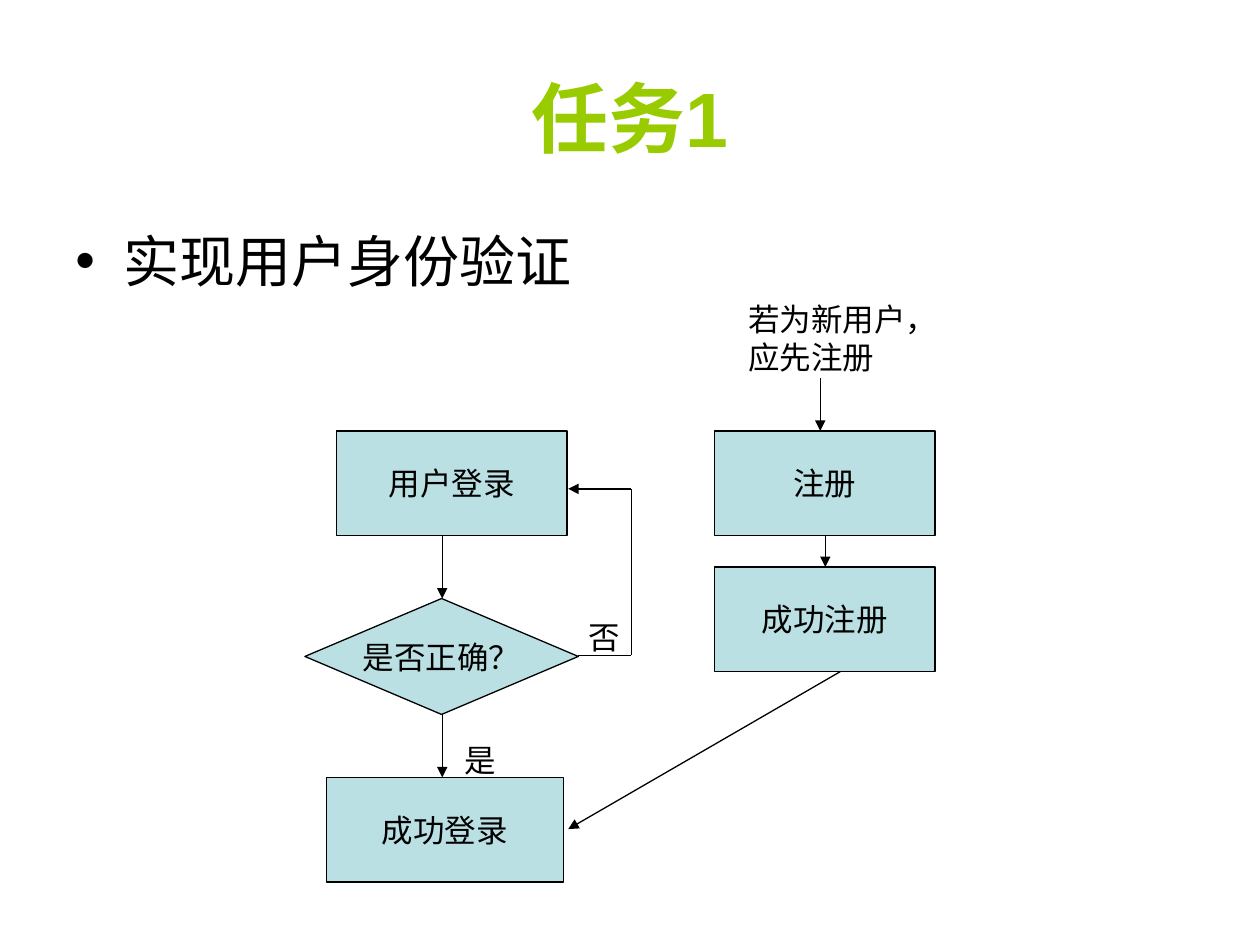
"""Build the user login and sign-up flow slide."""
import dataclasses
import typing

import pptx
import pptx.dml.color
import pptx.enum.shapes
import pptx.enum.text
import pptx.oxml.ns
import pptx.util
from lxml import etree

SCALE = 9144
KIND = pptx.enum.shapes.MSO_SHAPE
ALIGN = pptx.enum.text.PP_ALIGN
ANCHOR = pptx.enum.text.MSO_ANCHOR


@dataclasses.dataclass(frozen=True)
class Theme:
    font: str = "Arial"
    ink: str = "000000"
    fill: str = "BBE0E3"
    title: str = "99CC00"
    head: int = 44
    body: int = 32
    small: int = 18
    line: float = 0.75


class Box(typing.NamedTuple):
    text: str
    left: int
    top: int
    width: int
    height: int


class Label(typing.NamedTuple):
    box: Box
    size: int
    wrap: bool = True


class Node(typing.NamedTuple):
    box: Box
    kind: KIND = KIND.RECTANGLE


class Link(typing.NamedTuple):
    x1: int
    y1: int
    x2: int
    y2: int
    arrow: bool = True


THEME = Theme()
TITLE = Box("任务1", 50, 30, 900, 125)
POINT = Label(Box("实现用户身份验证", 50, 175, 900, 495), THEME.body)
LABELS = [
    Label(Box("否", 457, 486, 45, 40), THEME.small, False),
    Label(Box("是", 359, 583, 67, 40), THEME.small),
    Label(Box("若为新用户，应先注册", 584, 233, 175, 70), THEME.small),
]
NODES = [
    Node(Box("用户登录", 267, 342, 183, 83)),
    Node(Box("是否正确？", 242, 475, 217, 92), KIND.FLOWCHART_DECISION),
    Node(Box("成功登录", 259, 617, 188, 83)),
    Node(Box("注册", 567, 342, 175, 83)),
    Node(Box("成功注册", 567, 450, 175, 83)),
]
LINKS = [
    Link(351, 425, 351, 475),
    Link(351, 567, 351, 617),
    Link(459, 520, 501, 520, False),
    Link(501, 520, 501, 388, False),
    Link(501, 388, 451, 388),
    Link(651, 300, 651, 342),
    Link(655, 425, 655, 450),
    Link(667, 533, 451, 658),
]


def px(*sizes: int) -> list[int]:
    """Turn px lengths into EMU."""
    return [size * SCALE for size in sizes]


def rgb(code: str) -> pptx.dml.color.RGBColor:
    """Read a hex colour."""
    return pptx.dml.color.RGBColor.from_string(code)


def add(node, tag: str, **attrs: str):
    """Add a drawing element below a node."""
    return etree.SubElement(node, pptx.oxml.ns.qn(tag), attrs)


def write(shape, text: str, size: int, color: str = THEME.ink,
          align: ALIGN = ALIGN.LEFT, bold: bool = False) -> None:
    """Set and format the text of a shape."""
    frame = shape.text_frame
    frame.text = text
    for para in frame.paragraphs:
        para.alignment = align
        for run in para.runs:
            run.font.name = THEME.font
            run.font.size = pptx.util.Pt(size)
            run.font.bold = bold
            run.font.color.rgb = rgb(color)


def stroke(line) -> None:
    """Give a line the theme colour and width."""
    line.color.rgb = rgb(THEME.ink)
    line.width = pptx.util.Pt(THEME.line)


def draw_title(slide, box: Box) -> None:
    """Place and fill the title."""
    shape = slide.shapes.title
    shape.left, shape.top, shape.width, shape.height = px(*box[1:])
    shape.text_frame.auto_size = pptx.enum.text.MSO_AUTO_SIZE.NONE
    shape.text_frame.vertical_anchor = ANCHOR.MIDDLE
    write(shape, box.text, THEME.head, THEME.title, ALIGN.CENTER, True)


def draw_label(slide, label: Label):
    """Draw a plain text box."""
    shape = slide.shapes.add_textbox(*px(*label.box[1:]))
    shape.text_frame.word_wrap = label.wrap
    write(shape, label.box.text, label.size)
    return shape


def draw_point(slide, label: Label) -> None:
    """Draw a text box with a hanging bullet."""
    shape = draw_label(slide, label)
    for para in shape.text_frame.paragraphs:
        props = para._p.get_or_add_pPr()
        indent, = px(38)
        props.set("marL", str(indent))
        props.set("indent", str(-indent))
        add(props, "a:buFont", typeface=THEME.font)
        add(props, "a:buChar", char="•")


def draw_node(slide, node: Node) -> None:
    """Draw a filled step of the flow."""
    shape = slide.shapes.add_shape(node.kind, *px(*node.box[1:]))
    shape.shadow.inherit = False
    shape.fill.solid()
    shape.fill.fore_color.rgb = rgb(THEME.fill)
    stroke(shape.line)
    shape.text_frame.word_wrap = False
    shape.text_frame.vertical_anchor = ANCHOR.MIDDLE
    write(shape, node.box.text, THEME.small, align=ALIGN.CENTER)


def draw_link(slide, link: Link) -> None:
    """Draw a line, with an arrowhead at its end if asked."""
    kind = pptx.enum.shapes.MSO_CONNECTOR.STRAIGHT
    shape = slide.shapes.add_connector(kind, *px(*link[:4]))
    stroke(shape.line)
    if link.arrow:
        add(shape.line._get_or_add_ln(), "a:tailEnd", type="triangle")
    add(shape._element.spPr, "a:effectLst")


def main() -> None:
    """Build and save the slide."""
    deck = pptx.Presentation()
    deck.slide_width, deck.slide_height = px(1000, 750)
    slide = deck.slides.add_slide(deck.slide_layouts[5])
    draw_title(slide, TITLE)
    draw_point(slide, POINT)
    for node in NODES:
        draw_node(slide, node)
    for link in LINKS:
        draw_link(slide, link)
    for label in LABELS:
        draw_label(slide, label)
    deck.save("out.pptx")


if __name__ == "__main__":
    main()
